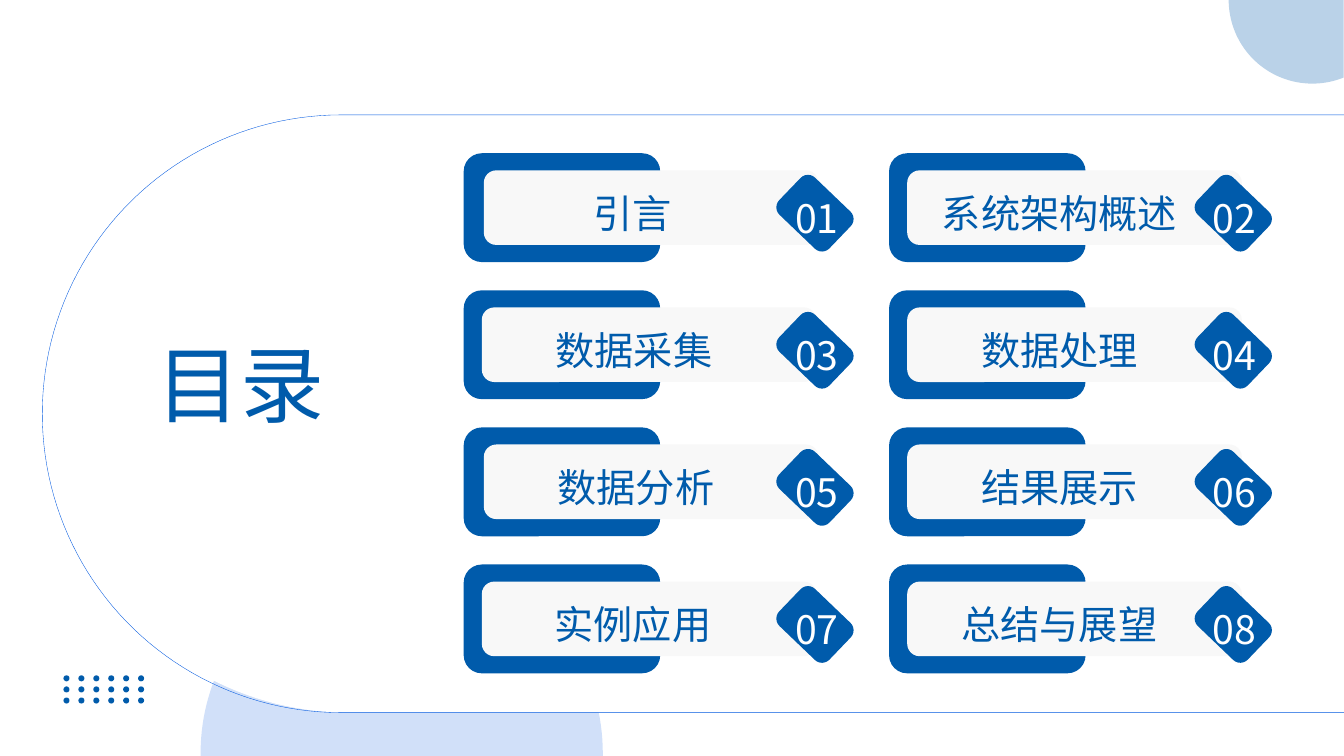
"""Builds a contents slide with eight numbered topics in two columns."""
from dataclasses import dataclass
from math import cos, radians, sin

from lxml.etree import SubElement as Sub
from pptx import Presentation
from pptx.dml.color import RGBColor as Rgb
from pptx.enum.shapes import MSO_SHAPE as Kind
from pptx.enum.text import MSO_AUTO_SIZE as Fit, PP_ALIGN as Align
from pptx.oxml.ns import qn
from pptx.util import Emu, Pt

UNIT = 9144


@dataclass(frozen=True)
class Theme:
    blue: str = "005BAB"
    azure: str = "0058E0"
    grey: str = "F8F8F8"
    white: str = "FFFFFF"
    latin: str = "Calibri"
    asian: str = "Noto Sans CJK SC"
    big: int = 60
    body: int = 28
    hair: float = 0.25


LOOK = Theme()
WIDE, HIGH = 1333, 750
TOP, STEP = 152, 136
COLS = ((460, 774, 772), (882, 1189, 1186))
TOPICS = (
    ("引言", 480, 510), ("系统架构概述", 900, 933),
    ("数据采集", 478, 511), ("数据处理", 900, 933),
    ("数据分析", 480, 513), ("结果展示", 900, 933),
    ("实例应用", 478, 510), ("总结与展望", 900, 933),
)


def px(num):
    return Emu(round(num * UNIT))


def paint(shape, fill=None, line=None, alpha=None):
    shape.shadow.inherit = False
    if fill:
        shape.fill.solid()
        shape.fill.fore_color.rgb = Rgb.from_string(fill)
    else:
        shape.fill.background()
    if line:
        shape.line.color.rgb = Rgb.from_string(line)
        shape.line.width = Pt(LOOK.hair)
    else:
        shape.line.fill.background()
    if alpha:
        tint = shape.fill._xPr.find(".//" + qn("a:srgbClr"))
        Sub(tint, qn("a:alpha"), val=str(alpha * 1000))


def block(slide, kind, box, fill, turn=0):
    shape = slide.shapes.add_shape(kind, *map(px, box))
    shape.rotation = turn
    paint(shape, fill)
    return shape


def arc(mid, rad, start, end):
    steps = 90
    turns = [radians(start + (end - start) * i / steps) for i in range(steps + 1)]
    return [(mid[0] + rad * cos(t), mid[1] + rad * sin(t)) for t in turns]


def outline(slide, dots, **style):
    first, *rest = [(px(x), px(y)) for x, y in dots]
    pen = slide.shapes.build_freeform(*first)
    pen.add_line_segments(rest, close=True)
    paint(pen.convert_to_shape(), **style)


def panel(slide, left, **style):
    rad, end = 296.5, left + 1296
    curve = arc((left + rad, 410.5), rad, 270, 90)
    outline(slide, [(end, 114), *curve, (end, 707)], **style)


def write(slide, text, box, size, lead, font=LOOK.latin, color=LOOK.blue):
    frame = slide.shapes.add_textbox(*map(px, box)).text_frame
    frame.margin_left = frame.margin_right = 0
    frame.margin_top = frame.margin_bottom = 0
    frame.word_wrap = True
    frame.auto_size = Fit.SHAPE_TO_FIT_TEXT
    para = frame.paragraphs[0]
    para.alignment = Align.CENTER
    para.line_spacing = Pt(lead)
    run = para.add_run()
    run.text = text
    run.font.name = font
    run.font.size = Pt(size)
    run.font.color.rgb = Rgb.from_string(color)
    Sub(run._r.get_or_add_rPr(), qn("a:ea"), typeface=LOOK.asian)


def dots(slide):
    for row in range(3):
        for col in range(6):
            box = (63 + 14.8 * col, 670 + 11 * row, 6, 6)
            block(slide, Kind.OVAL, box, LOOK.blue)


def topic(slide, index):
    row, col = divmod(index, 2)
    text, tab, label = TOPICS[index]
    left, gem, num = COLS[col]
    top = TOP + STEP * row
    block(slide, Kind.ROUNDED_RECTANGLE, (left, top, 195, 108), LOOK.blue)
    block(slide, Kind.ROUNDED_RECTANGLE, (tab, top + 17, 332, 74), LOOK.grey)
    write(slide, text, (label, top + 36, 236, 27), LOOK.body, 33.6)
    tile = block(slide, Kind.ROUNDED_RECTANGLE, (gem, top + 34, 69, 51), LOOK.blue, 43.8)
    tile.adjustments[0] = 0.2
    write(slide, f"{index + 1:02}", (num, top + 41, 77, 27), LOOK.body, 33.6,
          font=LOOK.asian, color=LOOK.white)


def main():
    deck = Presentation()
    deck.slide_width, deck.slide_height = px(WIDE + 1 / 3), px(HIGH)
    slide = deck.slides.add_slide(deck.slide_layouts[6])
    dome = arc((398.5, 747), 199.5, 180, 360)
    outline(slide, [*dome, (598, HIGH), (199, HIGH)], fill=LOOK.azure, alpha=18)
    panel(slide, 49, fill=LOOK.white)
    panel(slide, 42, line=LOOK.azure)
    dots(slide)
    write(slide, "目录", (102, 330, 273, 101), LOOK.big, 72)
    moon = arc((1302, 0), 83, 180, 68)
    outline(slide, [*moon, (WIDE, 77), (WIDE, 0)], fill=LOOK.blue, alpha=27)
    for index in range(len(TOPICS)):
        topic(slide, index)
    deck.save("out.pptx")


if __name__ == "__main__":
    main()
